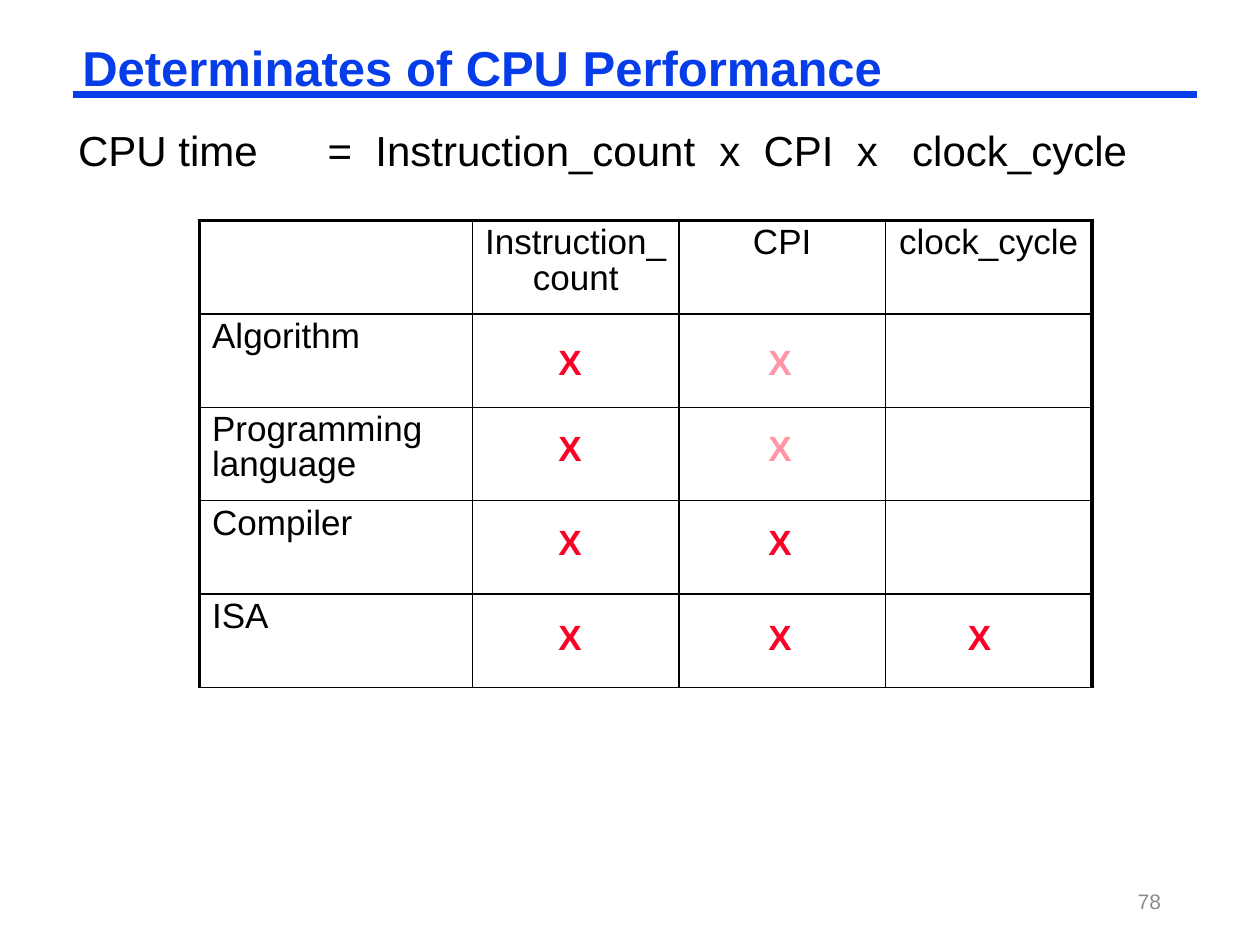
from collections import namedtuple
from dataclasses import dataclass

from lxml import etree
from pptx import Presentation
from pptx import util as u
from pptx.dml.color import RGBColor
from pptx.enum import text
from pptx.oxml.ns import qn

GRID = u.Inches(1 / 12)  # the slide is 120 columns by 90 rows
Box = namedtuple("Box", "left top width height")


@dataclass(frozen=True)
class Theme:
    font: str = "Arial"
    accent: str = "063DE8"
    ink: str = "000000"
    strong: str = "FC0128"
    weak: str = "FF95A7"
    muted: str = "8C8C8C"
    title: int = 28
    equation: int = 24
    cell: int = 20
    number: int = 12
    outer: float = 2.25
    inner: float = 1


THEME = Theme()
EQUATION = ["CPU time", "=", "Instruction_count", "x", "CPI", "x", "clock_cycle"]
EQUATION_TABS = [1.98, 2.36, 5.09, 5.44, 6.18, 6.62]  # inches from the first term
FACTORS = ["", "Instruction_count", "CPI", "clock_cycle"]
# Strength of each influence: S strong, W weak
INFLUENCES = {
    "Algorithm": "SW",
    "Programming language": "SW",
    "Compiler": "SS",
    "ISA": "SSS",
}
MARK_COLUMNS = [33, 53, 72]  # grid offsets within the table
MARK_ROWS = [10.8, 19, 28, 37]


def cells(*counts):
    return [u.Emu(round(count * GRID)) for count in counts]


def style(paragraph, size, color, bold=False, align=text.PP_ALIGN.LEFT, spacing=None):
    paragraph.alignment = align
    paragraph.line_spacing = spacing
    for run in paragraph.runs:
        run.font.name = THEME.font
        run.font.size = u.Pt(size)
        run.font.bold = bold
        run.font.color.rgb = RGBColor.from_string(color)


def set_margins(frame, left, right, vertical):
    frame.margin_left, frame.margin_right = u.Inches(left), u.Inches(right)
    frame.margin_top = frame.margin_bottom = u.Inches(vertical)


def add_text(slide, box, words):
    frame = slide.shapes.add_textbox(*cells(*box)).text_frame
    frame.word_wrap = True
    frame.text = words
    return frame


def add_heading(slide, box):
    """Title with a rule under it that runs past its right end."""
    title = slide.shapes.title
    title.left, title.top, title.width, title.height = cells(*box)
    frame = title.text_frame
    frame.text = "Determinates of CPU Performance"
    frame.word_wrap = False
    frame.auto_size = text.MSO_AUTO_SIZE.SHAPE_TO_FIT_TEXT
    frame.vertical_anchor = text.MSO_ANCHOR.TOP
    set_margins(frame, 0.07, 0.07, 0.03)
    style(frame.paragraphs[0], THEME.title, THEME.accent, bold=True, spacing=0.87)

    rule_y = box.top + 5
    rule = slide.shapes.add_connector(1, *cells(box.left, rule_y, 114, rule_y))
    rule.line.color.rgb = RGBColor.from_string(THEME.accent)
    rule.line.width = u.Pt(4.5)
    etree.SubElement(rule._element.spPr, qn("a:effectLst"))


def add_equation(slide, box):
    frame = add_text(slide, box, "\t".join(EQUATION))
    set_margins(frame, 0.62, 0.07, 0.03)
    equation = frame.paragraphs[0]
    stops = etree.SubElement(equation._p.get_or_add_pPr(), qn("a:tabLst"))
    for position in EQUATION_TABS:
        etree.SubElement(stops, qn("a:tab"), pos=str(u.Inches(position)), algn="l")
    style(equation, THEME.equation, THEME.ink, spacing=0.9)


def set_borders(cell, widths):
    """Widths in points for the left, right, top and bottom edges."""
    properties = cell._tc.get_or_add_tcPr()
    for place, (edge, width) in enumerate(zip(("lnL", "lnR", "lnT", "lnB"), widths)):
        line = etree.Element(qn(f"a:{edge}"), w=str(u.Pt(width)))
        fill = etree.SubElement(line, qn("a:solidFill"))
        etree.SubElement(fill, qn("a:srgbClr"), val=THEME.ink)
        properties.insert(place, line)


def add_influence_table(slide, box):
    labels = [FACTORS] + [[name, "", "", ""] for name in INFLUENCES]
    last = len(FACTORS) - 1
    table = slide.shapes.add_table(len(labels), len(FACTORS), *cells(*box)).table
    table.first_row = table.horz_banding = False
    name_width = 26
    factor_width = (box.width - name_width) / last
    for column, width in zip(table.columns, cells(name_width, *[factor_width] * last)):
        column.width = width
    for r, row in enumerate(labels):
        for c, label in enumerate(row):
            cell = table.cell(r, c)
            cell.fill.background()
            cell.text = label
            align = text.PP_ALIGN.LEFT if r else text.PP_ALIGN.CENTER
            style(cell.text_frame.paragraphs[0], THEME.cell, THEME.ink,
                  align=align, spacing=0.9)
            on_edge = (c == 0, c == last, r == 0, False)
            set_borders(cell, [THEME.outer if e else THEME.inner for e in on_edge])


def add_marks(slide, box):
    colors = {"S": THEME.strong, "W": THEME.weak}
    for row, strengths in zip(MARK_ROWS, INFLUENCES.values()):
        for column, strength in zip(MARK_COLUMNS, strengths):
            place = Box(box.left + column, box.top + row, 5, 5.2)
            mark = add_text(slide, place, "X")
            style(mark.paragraphs[0], THEME.cell, colors[strength], bold=True)


def add_slide_number(slide, box):
    frame = add_text(slide, box, "78")
    frame.vertical_anchor = text.MSO_ANCHOR.MIDDLE
    style(frame.paragraphs[0], THEME.number, THEME.muted, align=text.PP_ALIGN.RIGHT)


def main():
    deck = Presentation()
    deck.slide_width, deck.slide_height = cells(120, 90)
    slide = deck.slides.add_slide(deck.slide_layouts.get_by_name("Title Only"))
    table_box = Box(19, 21, 85, 44.5)
    add_heading(slide, Box(7, 4, 78, 5.5))
    add_equation(slide, Box(0, 12, 115, 5))
    add_influence_table(slide, table_box)
    add_marks(slide, table_box)
    add_slide_number(slide, Box(84.75, 83.4, 27, 4.8))
    deck.save("out.pptx")


if __name__ == "__main__":
    main()
